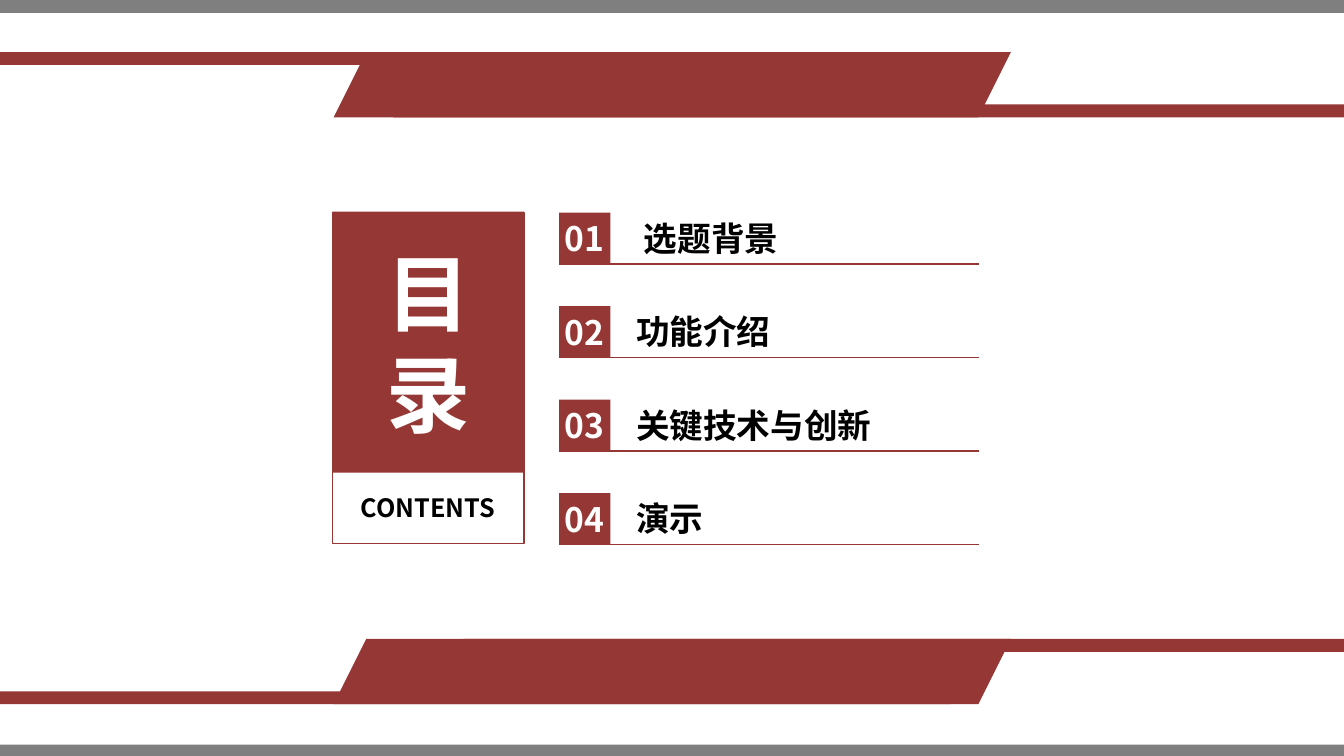
"""Build a contents slide with framing banners and four numbered sections."""
from dataclasses import dataclass
from typing import Optional

from lxml.etree import SubElement
from pptx import Presentation
from pptx.dml.color import RGBColor
from pptx.enum.shapes import MSO_CONNECTOR, MSO_SHAPE
from pptx.enum.text import MSO_ANCHOR, PP_ALIGN
from pptx.oxml.ns import qn
from pptx.util import Pt

FONT_NAME = "Noto Sans CJK SC"
RED, GRAY, WHITE, BLACK = "953734", "7F7F7F", "FFFFFF", "000000"
SLIDE_WIDTH, SLIDE_HEIGHT = 960, 540
BAR_HEIGHT = 9.2
BANNER_LEFT, BANNER_WIDTH, BANNER_HEIGHT = 238.3, 483.8, 46.6
BANNER_TOPS = (37.2, 456.4)
ROW_TOP, ROW_PITCH, ROW_LEFT = 151.9, 66.8, 399.4
SQUARE_SIZE, RULE_LENGTH = 36.6, 299.8
PANEL_LEFT, PANEL_WIDTH = 237.5, 136.8


@dataclass(frozen=True)
class Box:
    left: float
    top: float
    width: float
    height: float


@dataclass(frozen=True)
class Bar:
    box: Box
    color: str


@dataclass(frozen=True)
class Section:
    title: str
    shift: float = 0


SECTIONS = (Section("选题背景", 5.6), Section("功能介绍"), Section("关键技术与创新"), Section("演示"))
LOWER_EDGE = BANNER_HEIGHT - BAR_HEIGHT
BARS = (
    Bar(Box(0, 0, SLIDE_WIDTH, BAR_HEIGHT), GRAY),
    Bar(Box(0, 531.8, SLIDE_WIDTH, BAR_HEIGHT), GRAY),
    Bar(Box(0, BANNER_TOPS[0], 679, BAR_HEIGHT), RED),
    Bar(Box(281, BANNER_TOPS[0] + LOWER_EDGE, 679, BAR_HEIGHT), RED),
    Bar(Box(331, BANNER_TOPS[1], 629, BAR_HEIGHT), RED),
    Bar(Box(0, BANNER_TOPS[1] + LOWER_EDGE, 679, BAR_HEIGHT), RED),
)


def rgb(color: str) -> RGBColor:
    """Turn a hex string into a colour."""
    return RGBColor.from_string(color)


def lengths(box: Box) -> tuple:
    """Give the four lengths of a box in points."""
    return Pt(box.left), Pt(box.top), Pt(box.width), Pt(box.height)


def add_block(slide, box: Box, fill: Optional[str] = None, line: Optional[str] = None,
              kind=MSO_SHAPE.RECTANGLE):
    """Add a flat preset shape with an optional fill and outline."""
    shape = slide.shapes.add_shape(kind, *lengths(box))
    shape.shadow.inherit = False
    if fill:
        shape.fill.solid()
        shape.fill.fore_color.rgb = rgb(fill)
    else:
        shape.fill.background()
    if line:
        shape.line.color.rgb = rgb(line)
        shape.line.width = Pt(1)
    else:
        shape.line.fill.background()
    return shape


def write_text(shape, text: str, size: float, color: str, alignment=PP_ALIGN.CENTER,
               margin: float = 0, line_height: Optional[float] = None) -> None:
    """Write one bold, vertically centred paragraph into a shape."""
    frame = shape.text_frame
    frame_format = {
        "word_wrap": True, "vertical_anchor": MSO_ANCHOR.MIDDLE,
        "margin_left": Pt(margin), "margin_right": Pt(margin),
        "margin_top": 0, "margin_bottom": 0,
    }
    for name, value in frame_format.items():
        setattr(frame, name, value)
    paragraph = frame.paragraphs[0]
    paragraph.alignment = alignment
    if line_height:
        paragraph.line_spacing = Pt(line_height)
    run = paragraph.add_run()
    run.text = text
    run.font.color.rgb = rgb(color)
    for name, value in {"name": FONT_NAME, "size": Pt(size), "bold": True}.items():
        setattr(run.font, name, value)
    properties = run._r.get_or_add_rPr()
    SubElement(properties, qn("a:ea")).set("typeface", FONT_NAME)


def add_rule(slide, left: float, top: float, length: float) -> None:
    """Draw a thin horizontal line."""
    connector = slide.shapes.add_connector(
        MSO_CONNECTOR.STRAIGHT, Pt(left), Pt(top), Pt(left + length), Pt(top))
    connector.line.color.rgb = rgb(RED)
    connector.line.width = Pt(1)
    SubElement(connector._element.spPr, qn("a:effectLst"))


def add_section(slide, index: int, section: Section) -> None:
    """Add a numbered section with its title and rule."""
    top = ROW_TOP + index * ROW_PITCH
    title_box = Box(436.3 + section.shift, top, 286.6, 36)
    title = slide.shapes.add_textbox(*lengths(title_box))
    write_text(title, section.title, 24, BLACK, PP_ALIGN.LEFT, margin=18)
    add_rule(slide, ROW_LEFT, top + SQUARE_SIZE, RULE_LENGTH)
    square = add_block(slide, Box(ROW_LEFT, top, SQUARE_SIZE, SQUARE_SIZE), RED)
    write_text(square, f"{index + 1:02d}", 24, WHITE)


def add_panel(slide) -> None:
    """Add the heading panel on the left."""
    add_block(slide, Box(PANEL_LEFT, ROW_TOP, PANEL_WIDTH, 236.2), line=RED)
    caption = slide.shapes.add_textbox(*lengths(Box(PANEL_LEFT, 347.8, PANEL_WIDTH, 28.8)))
    write_text(caption, "CONTENTS", 18, BLACK)
    heading = add_block(slide, Box(PANEL_LEFT, 151.2, PANEL_WIDTH, 186.5), RED)
    write_text(heading, "目录", 60, WHITE, margin=20, line_height=72)


def main() -> None:
    """Create and save the presentation."""
    presentation = Presentation()
    presentation.slide_width, presentation.slide_height = Pt(SLIDE_WIDTH), Pt(SLIDE_HEIGHT)
    slide = presentation.slides.add_slide(presentation.slide_layouts[6])
    for bar in BARS:
        add_block(slide, bar.box, bar.color)
    for top in BANNER_TOPS:
        box = Box(BANNER_LEFT, top, BANNER_WIDTH, BANNER_HEIGHT)
        banner = add_block(slide, box, RED, kind=MSO_SHAPE.PARALLELOGRAM)
        banner.adjustments[0] = 0.5
    add_panel(slide)
    for index, section in enumerate(SECTIONS):
        add_section(slide, index, section)
    presentation.save("out.pptx")


if __name__ == "__main__":
    main()
